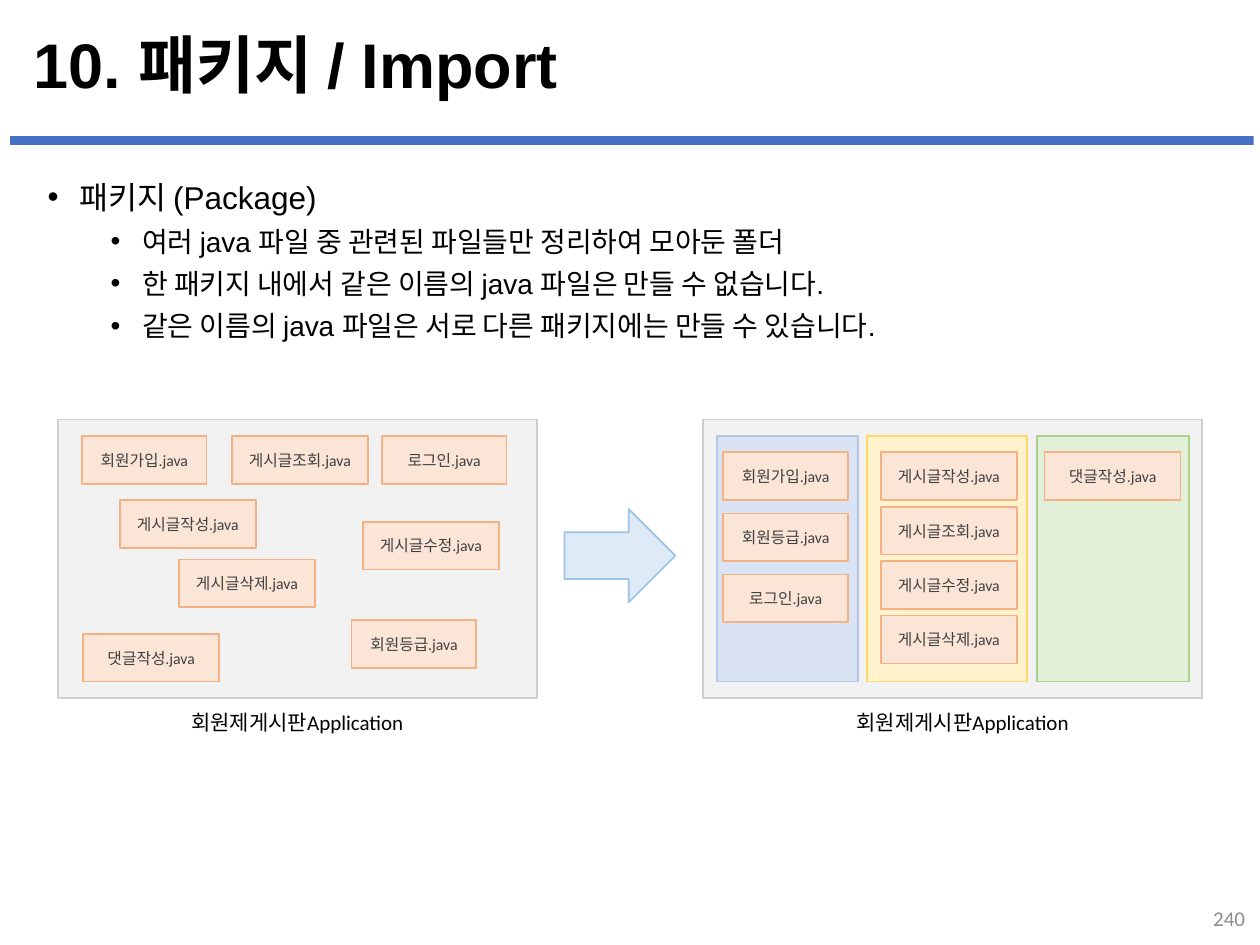
import pptx
import pptx.dml.color
import pptx.enum.shapes
import pptx.enum.text
import pptx.oxml
import pptx.oxml.ns
import pptx.util

SHAPE = pptx.enum.shapes.MSO_SHAPE
ALIGN = pptx.enum.text.PP_ALIGN
ANCHOR = pptx.enum.text.MSO_ANCHOR
Inches, Pt = pptx.util.Inches, pptx.util.Pt

THEME = {
    "heading_font": "Arial", "label_font": "Calibri",
    "title": 36, "topic": 18, "detail": 16, "caption": 12, "file": 9,
    "ink": "000000", "file_ink": "404040", "number_ink": "8C8C8C",
    "bar": "4472C4",
    "application": ("F2F2F2", "D0CECE"),
    "file_box": ("FBE5D6", "F4B183"),
    "arrow": ("DEEBF7", "9DC3E6"),
    "blue": ("DAE3F3", "B4C7E7"),
    "yellow": ("FFF2CC", "FFD966"),
    "green": ("E2F0D9", "A9D18E"),
}

TITLE = "10. 패키지 / Import"
PAGE_NUMBER = "240"
CAPTION = "회원제게시판Application"
TOPIC = "패키지 (Package)"
DETAILS = [
    "여러 java 파일 중 관련된 파일들만 정리하여 모아둔 폴더",
    "한 패키지 내에서 같은 이름의 java 파일은 만들 수 없습니다.",
    "같은 이름의 java 파일은 서로 다른 패키지에는 만들 수 있습니다.",
]

NARROW, WIDE, FILE_HEIGHT = 0.99, 1.08, 0.38
FRAME_TOP, FRAME_HEIGHT = 3.33, 2.21
PACKAGE_TOP, PACKAGE_HEIGHT = 3.46, 1.95
FIRST_FILE_TOP = 3.59

# name, left, top, width
LOOSE_FILES = [
    ("회원가입", 0.65, 3.46, NARROW),
    ("회원등급", 2.79, 4.92, NARROW),
    ("게시글작성", 0.95, 3.97, WIDE),
    ("게시글수정", 2.88, 4.14, WIDE),
    ("게시글삭제", 1.42, 4.44, WIDE),
    ("로그인", 3.03, 3.46, NARROW),
    ("댓글작성", 0.66, 5.03, WIDE),
    ("게시글조회", 1.84, 3.46, WIDE),
]
# colour, left, width, file left, file width, row pitch, names
PACKAGES = [
    ("blue", 5.69, 1.12, 5.74, NARROW, 0.485, ["회원가입", "회원등급", "로그인"]),
    ("yellow", 6.88, 1.27, 6.99, WIDE, 0.432,
     ["게시글작성", "게시글조회", "게시글수정", "게시글삭제"]),
    ("green", 8.23, 1.21, 8.29, WIDE, 0.432, ["댓글작성"]),
]


def color(value):
    return pptx.dml.color.RGBColor.from_string(value)


def style(paragraph, font, size, ink, bold=False):
    for span in paragraph.runs:
        span.font.name = font
        span.font.size = Pt(size)
        span.font.bold = bold
        span.font.color.rgb = color(ink)


def add_bullet(paragraph, indent, hanging=0.25):
    properties = paragraph._p.get_or_add_pPr()
    properties.set("marL", str(Inches(indent)))
    properties.set("indent", str(-Inches(hanging)))
    namespace = pptx.oxml.ns.nsdecls("a")
    for element in ('<a:buFont %s typeface="Arial"/>', '<a:buChar %s char="•"/>'):
        properties.append(pptx.oxml.parse_xml(element % namespace))


def add_block(shapes, kind, place, fill, line=None):
    block = shapes.add_shape(kind, *map(Inches, place))
    block.shadow.inherit = False
    block.fill.solid()
    block.fill.fore_color.rgb = color(fill)
    if line:
        block.line.color.rgb = color(line)
        block.line.width = Pt(1)
    else:
        block.line.fill.background()
    return block


def add_text(shapes, place, lines, wrap=True):
    box = shapes.add_textbox(*map(Inches, place))
    box.text_frame.word_wrap = wrap
    box.text_frame.text = "\n".join(lines)
    return box.text_frame


def add_file(shapes, name, left, top, width):
    block = add_block(shapes, SHAPE.RECTANGLE, (left, top, width, FILE_HEIGHT),
                      *THEME["file_box"])
    frame = block.text_frame
    frame.margin_left = frame.margin_right = 0
    frame.vertical_anchor = ANCHOR.MIDDLE
    frame.text = name + ".java"
    frame.paragraphs[0].alignment = ALIGN.CENTER
    style(frame.paragraphs[0], THEME["label_font"], THEME["file"], THEME["file_ink"])


def add_application(page, left, width, caption_left):
    """Add the captioned grey frame and return its group's shapes."""
    shapes = page.shapes.add_group_shape().shapes
    add_block(shapes, SHAPE.RECTANGLE, (left, FRAME_TOP, width, FRAME_HEIGHT),
              *THEME["application"])
    frame = add_text(shapes, (caption_left, 5.58, 1.98, 0.3), [CAPTION], wrap=False)
    frame.auto_size = pptx.enum.text.MSO_AUTO_SIZE.SHAPE_TO_FIT_TEXT
    frame.paragraphs[0].alignment = ALIGN.CENTER
    style(frame.paragraphs[0], THEME["label_font"], THEME["caption"], THEME["ink"])
    return shapes


def add_heading_and_body(page):
    add_block(page.shapes, SHAPE.RECTANGLE, (0.08, 1.08, 9.87, 0.07), THEME["bar"])

    body = add_text(page.shapes, (0.28, 1.36, 9.4, 5.99), [TOPIC] + DETAILS)
    for index, paragraph in enumerate(body.paragraphs):
        if index:
            paragraph.level = 1
            paragraph.space_before = Pt(5)
        add_bullet(paragraph, 0.75 if index else 0.25)
        style(paragraph, THEME["heading_font"],
              THEME["detail" if index else "topic"], THEME["ink"])

    title = add_text(page.shapes, (0.17, 0.22, 9.66, 0.66), [TITLE])
    title.paragraphs[0].line_spacing = 0.9
    style(title.paragraphs[0], THEME["heading_font"], THEME["title"],
          THEME["ink"], bold=True)

    number = add_text(page.shapes, (7.73, 7.09, 2.25, 0.4), [PAGE_NUMBER])
    number.vertical_anchor = ANCHOR.MIDDLE
    number.paragraphs[0].alignment = ALIGN.RIGHT
    style(number.paragraphs[0], THEME["label_font"], THEME["caption"],
          THEME["number_ink"])


def main():
    deck = pptx.Presentation()
    deck.slide_width, deck.slide_height = Inches(10), Inches(7.5)
    page = deck.slides.add_slide(deck.slide_layouts[6])
    add_heading_and_body(page)

    unsorted_app = add_application(page, 0.46, 3.8, 1.37)
    for loose_file in LOOSE_FILES:
        add_file(unsorted_app, *loose_file)

    sorted_app = add_application(page, 5.58, 3.96, 6.65)
    for tint, left, width, file_left, file_width, pitch, names in PACKAGES:
        add_block(sorted_app, SHAPE.RECTANGLE,
                  (left, PACKAGE_TOP, width, PACKAGE_HEIGHT), *THEME[tint])
        for row, name in enumerate(names):
            add_file(sorted_app, name, file_left, FIRST_FILE_TOP + row * pitch, file_width)

    add_block(page.shapes, SHAPE.RIGHT_ARROW, (4.48, 4.04, 0.88, 0.74), *THEME["arrow"])
    deck.save("out.pptx")


if __name__ == "__main__":
    main()
